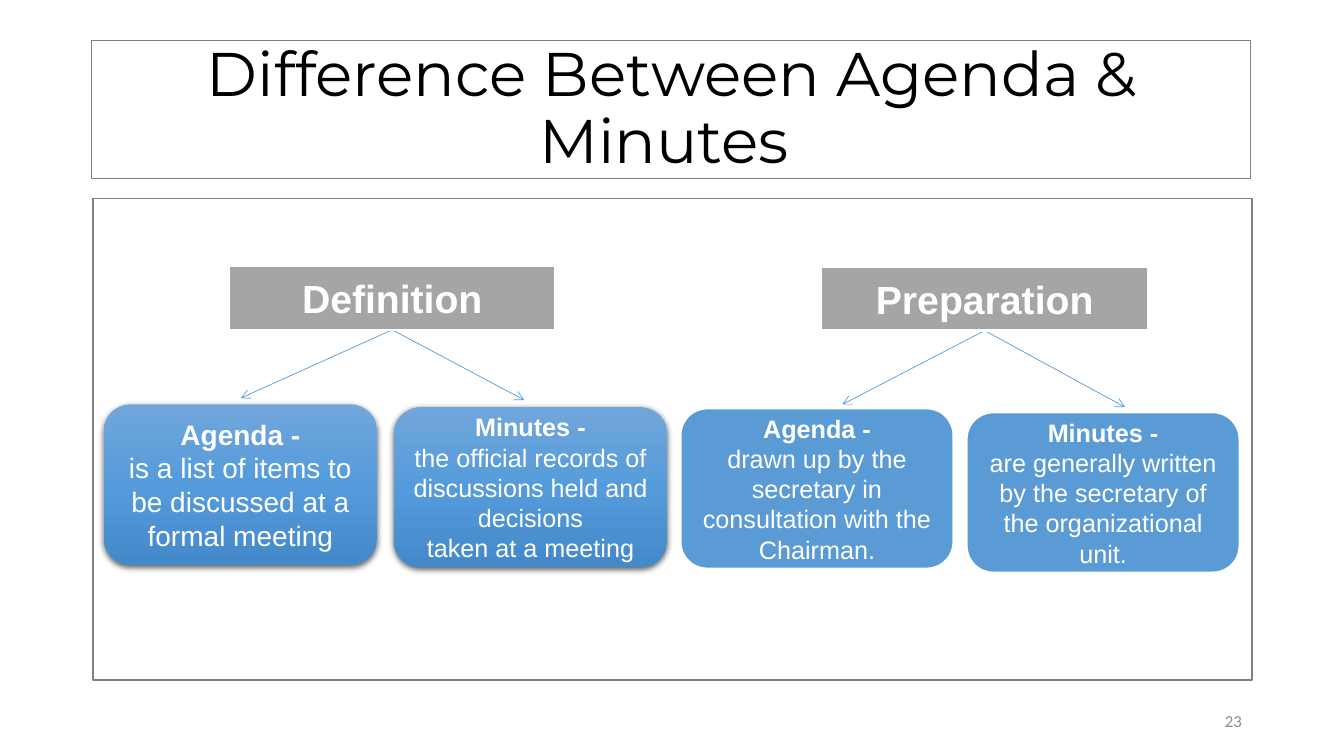
"""Build the slide that compares an agenda with minutes."""
from copy import deepcopy

from lxml import etree
from pptx import Presentation
from pptx.dml.color import RGBColor
from pptx.enum.shapes import MSO_CONNECTOR, MSO_SHAPE
from pptx.enum.text import MSO_ANCHOR, PP_ALIGN
from pptx.oxml.ns import qn
from pptx.util import Cm, Pt

RECT = MSO_SHAPE.RECTANGLE
ROUNDED = MSO_SHAPE.FLOWCHART_ALTERNATE_PROCESS
STRAIGHT = MSO_CONNECTOR.STRAIGHT
MIDDLE = MSO_ANCHOR.MIDDLE
CENTER, RIGHT = PP_ALIGN.CENTER, PP_ALIGN.RIGHT

BLACK = RGBColor(0x00, 0x00, 0x00)
WHITE = RGBColor(0xFF, 0xFF, 0xFF)
FRAME_GRAY = RGBColor(0x80, 0x80, 0x80)
NUMBER_GRAY = RGBColor(0x8C, 0x8C, 0x8C)
HEADING_GRAY = RGBColor(0xA5, 0xA5, 0xA5)
BLUE = RGBColor(0x5B, 0x9B, 0xD5)
SHADES = (
    (0, RGBColor(0x71, 0xA6, 0xDB)),
    (0.5, RGBColor(0x55, 0x9B, 0xDB)),
    (1, RGBColor(0x44, 0x8A, 0xCA)),
)

HEADING_WIDTH, HEADING_HEIGHT = 8.23, 1.6
CARD_WIDTH, CARD_HEIGHT = 6.88, 4.04

BRANCHES = (
    ("Definition", 5.77, 6.71, True, (
        ("Agenda -", ("is a list of items to be discussed at a formal meeting",),
         20, 2.62, 10.19, (6.07, 10.03)),
        ("Minutes -", ("the official records of discussions held and decisions",
                       "taken at a meeting"),
         18, 9.93, 10.26, (13.21, 10.08)),
    )),
    ("Preparation", 20.7, 6.73, False, (
        ("Agenda -", ("drawn up by the secretary in consultation with the Chairman.",),
         18, 17.15, 10.29, (21.23, 10.19)),
        ("Minutes -", ("are generally written by the secretary of the organizational unit.",),
         18, 24.36, 10.39, (28.35, 10.26)),
    )),
)


class ComparisonSlide:
    """Holds the current slide and its style."""

    body_font = "Arial"

    def __init__(self, slide):
        self.slide = slide

    def add_text(self, paragraph, lines, size, color, font=body_font, bold=False, align=CENTER):
        """Fill a paragraph, with a line break between its lines."""
        paragraph.alignment = align
        for index, line in enumerate(lines):
            if index:
                paragraph.add_line_break()
            run = paragraph.add_run()
            run.text = line
            run.font.size = Pt(size)
            run.font.name = font
            run.font.bold = bold
            run.font.color.rgb = color

    def label(self, text, box, size, color, font, align=CENTER, spacing=1.0):
        """Add plain text without a shape around it."""
        frame = self.slide.shapes.add_textbox(*map(Cm, box)).text_frame
        frame.word_wrap = True
        frame.vertical_anchor = MIDDLE
        frame.paragraphs[0].line_spacing = spacing
        self.add_text(frame.paragraphs[0], (text,), size, color, font, align=align)

    def shape(self, kind, box, fill=None, line=None, line_width=1.5):
        """Add a preset shape without a shadow."""
        shape = self.slide.shapes.add_shape(kind, *map(Cm, box))
        shape.shadow.inherit = False
        shape.text_frame.vertical_anchor = MIDDLE
        if fill is None:
            shape.fill.background()
        else:
            shape.fill.solid()
            shape.fill.fore_color.rgb = fill
        if line is None:
            shape.line.fill.background()
        else:
            shape.line.color.rgb = line
            shape.line.width = Pt(line_width)
        return shape

    def shade(self, shape):
        """Give a shape the blue gradient and a soft shadow below."""
        shape.fill.gradient()
        shape.fill.gradient_angle = 270
        stops = next(shape.element.iter(qn("a:gsLst")))
        stops.append(deepcopy(stops[-1]))
        for stop, (position, color) in zip(shape.fill.gradient_stops, SHADES):
            stop.position = position
            stop.color.rgb = color
        effects = next(shape.element.iter(qn("a:effectLst")))
        shadow = etree.SubElement(effects, qn("a:outerShdw"), blurRad=str(Pt(4.5)),
                                  dist=str(Pt(1.5)), dir="5400000", rotWithShape="0")
        tone = etree.SubElement(shadow, qn("a:srgbClr"), val=str(BLACK))
        etree.SubElement(tone, qn("a:alpha"), val="63000")

    def heading(self, text, left, top):
        """Add the gray heading of a branch."""
        box = (left, top, HEADING_WIDTH, HEADING_HEIGHT)
        frame = self.shape(RECT, box, HEADING_GRAY, WHITE).text_frame
        self.add_text(frame.paragraphs[0], (text,), 28, WHITE, bold=True)

    def card(self, term, lines, size, left, top, shaded):
        """Add a rounded card with a term and its explanation."""
        box = (left, top, CARD_WIDTH, CARD_HEIGHT)
        card = self.shape(ROUNDED, box, BLUE, None if shaded else WHITE)
        if shaded:
            self.shade(card)
        frame = card.text_frame
        self.add_text(frame.paragraphs[0], (term,), size, WHITE, bold=True)
        self.add_text(frame.add_paragraph(), lines, size, WHITE)

    def arrow(self, start, end):
        """Add a thin arrow from a heading to a card."""
        arrow = self.slide.shapes.add_connector(STRAIGHT, *map(Cm, start + end))
        arrow.line.color.rgb = BLUE
        arrow.line.width = Pt(0.5)
        outline = next(arrow.element.iter(qn("a:ln")))
        etree.SubElement(outline, qn("a:tailEnd"), type="arrow")
        etree.SubElement(arrow.element.spPr, qn("a:effectLst"))

    def branch(self, title, left, top, shaded, cards):
        """Add a heading with its arrows and cards."""
        fork = (left + HEADING_WIDTH / 2, top + HEADING_HEIGHT)
        for term, lines, size, card_left, card_top, tip in cards:
            self.arrow(fork, tip)
            self.card(term, lines, size, card_left, card_top, shaded)
        self.heading(title, left, top)


def main():
    """Build and save the presentation."""
    deck = Presentation()
    deck.slide_width, deck.slide_height = Cm(33.87), Cm(19.05)
    page = ComparisonSlide(deck.slides.add_slide(deck.slide_layouts[6]))
    page.label("Difference Between Agenda & Minutes ", (2.34, 0.94, 29.21, 3.68),
               44, BLACK, "Montserrat", spacing=0.9)
    page.label("23", (23.93, 17.65, 7.62, 1.02), 12, NUMBER_GRAY, "Calibri", RIGHT)
    for frame in ((2.31, 1.02, 29.21, 3.48), (2.34, 5, 29.21, 12.14)):
        page.shape(RECT, frame, line=FRAME_GRAY, line_width=1)
    for branch in BRANCHES:
        page.branch(*branch)
    deck.save("out.pptx")


if __name__ == "__main__":
    main()
